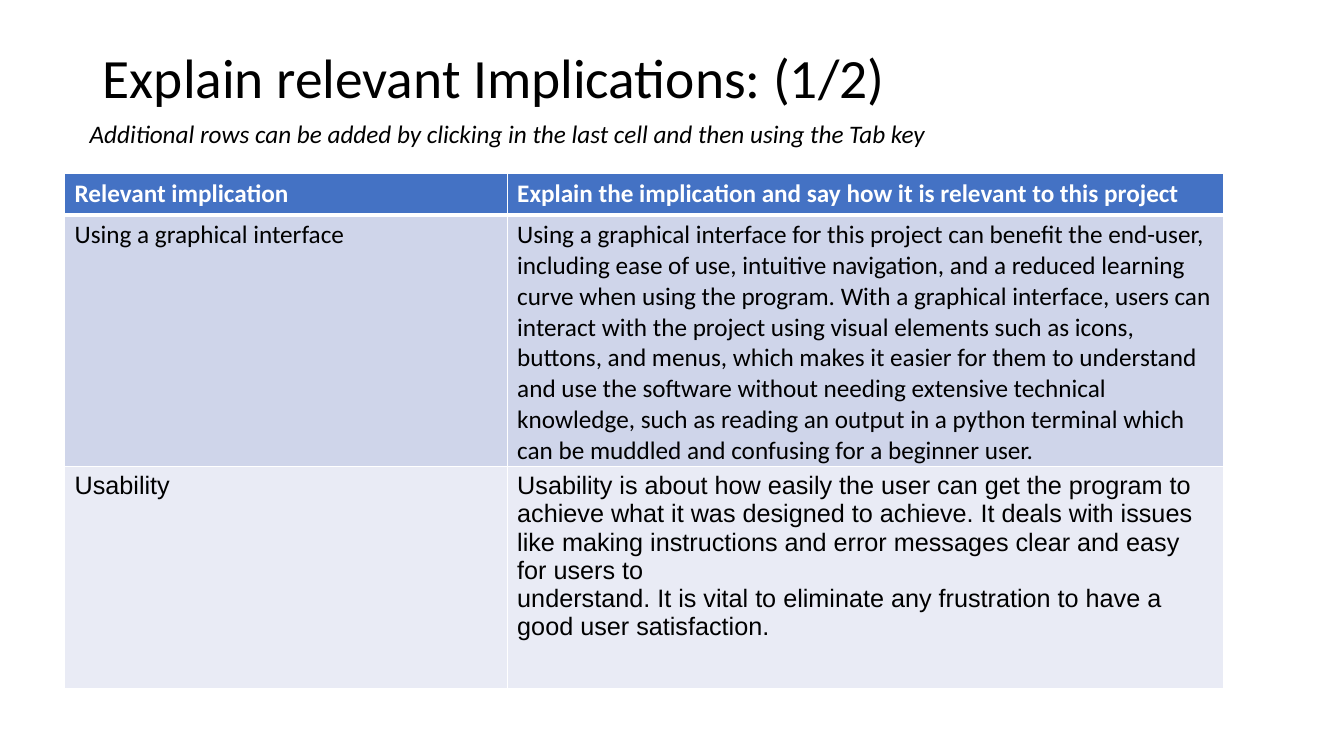
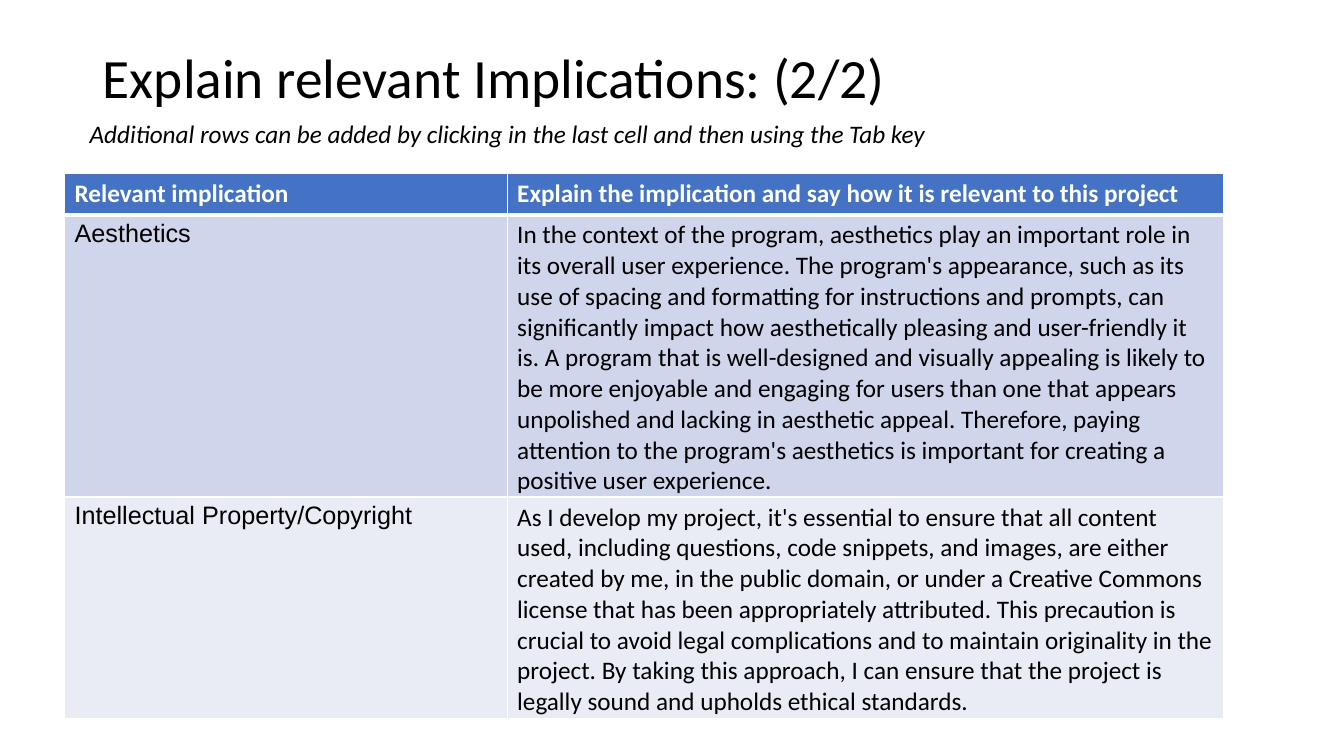
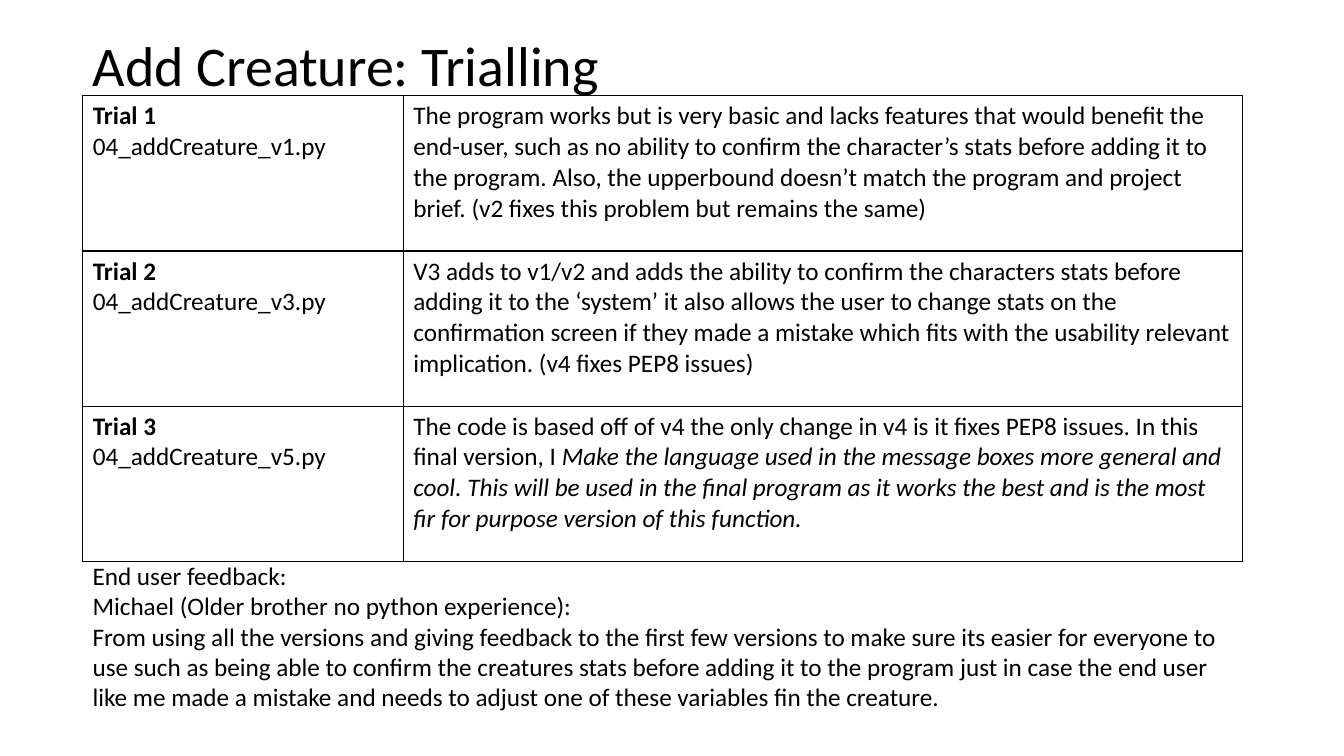
from dataclasses import dataclass
from lxml.etree import SubElement
from pptx import Presentation
from pptx.dml.color import RGBColor
from pptx.enum.text import MSO_ANCHOR, MSO_AUTO_SIZE, PP_ALIGN
from pptx.oxml.ns import qn
from pptx.util import Pt

PX = 9144  # 100 px to the inch


@dataclass(frozen=True)
class Theme:
    ink: str = "000000"
    white: str = "FFFFFF"
    head: str = "4472C4"
    bands: tuple = ("CFD5EA", "E9EBF5")
    font: str = "Calibri"
    alt: str = "Arial"
    title: float = 40
    lead: float = 39.6
    body: float = 18


T = Theme()

# Content: a cell is a list of paragraphs, a paragraph is a list of (text, format) runs
ARIAL = {"font": T.alt}
BOLD = {"bold": True}
ITALIC = {"italic": True}
HINT = "Additional rows can be added by clicking in the last cell and then using the Tab key"
HEADS = ["Relevant implication", "Explain the implication and say how it is relevant to this project"]
TOPICS = [
    {
        "title": "Explain relevant Implications: (1/2)",
        "rows": [41, 249, 220],
        "cells": [
            [
                [[("Using a graphical interface", {})]],
                [[("Using a graphical interface for this project can benefit the end-user, including ease of use, intuitive navigation, and a reduced learning curve when using the program. With a graphical interface, users can interact with the project using visual elements such as icons, buttons, and menus, which makes it easier for them to understand and use the software without needing extensive technical knowledge, such as reading an output in a python terminal which can be muddled and confusing for a beginner user.", {})]],
            ],
            [
                [[("Usability", ARIAL)]],
                [
                    [("Usability is about how easily the user can get the program to achieve what it was designed to achieve. It deals with issues like making instructions and error messages clear and easy for users to", ARIAL)],
                    [("understand. It is vital to eliminate any frustration to have a good user satisfaction.", ARIAL)],
                ],
            ],
        ],
    },
    {
        "title": "Explain relevant Implications: (2/2)",
        "rows": [41, 279, 220],
        "cells": [
            [
                [[("Aesthetics", ARIAL)]],
                [[("In the context of the program, aesthetics play an important role in its overall user experience. The program's appearance, such as its use of spacing and formatting for instructions and prompts, can significantly impact how aesthetically pleasing and user-friendly it is. A program that is well-designed and visually appealing is likely to be more enjoyable and engaging for users than one that appears unpolished and lacking in aesthetic appeal. Therefore, paying attention to the program's aesthetics is important for creating a positive user experience.", {})]],
            ],
            [
                [[("Intellectual Property/Copyright", ARIAL)]],
                [[("As I develop my project, it's essential to ensure that all content used, including questions, code snippets, and images, are either created by me, in the public domain, or under a Creative Commons license that has been appropriately attributed. This precaution is crucial to avoid legal complications and to maintain originality in the project. By taking this approach, I can ensure that the project is legally sound and upholds ethical standards.", {})]],
            ],
        ],
    },
]
TRIALS = [
    ("Trial 1", "04_addCreature_v1.py", [("The program works but is very basic and lacks features that would benefit the end-user, such as no ability to confirm the character’s stats before adding it to the program. Also, the upperbound doesn’t match the program and project brief. (v2 fixes this problem but remains the same)", {})]),
    ("Trial 2", "04_addCreature_v3.py", [("V3 adds to v1/v2 and adds the ability to confirm the characters stats before adding it to the ‘system’ it also allows the user to change stats on the confirmation screen if they made a mistake which fits with the usability relevant implication. (v4 fixes PEP8 issues)", {})]),
    ("Trial 3", "04_addCreature_v5.py", [
        ("The code is based off of v4 the only change in v4 is it fixes PEP8 issues. In this final version, I ", {}),
        ("Make the language used in the message boxes more general and cool. This will be used in the final program as it works the best and is the most fir for purpose version of this function.", ITALIC),
    ]),
]
FEEDBACK = [
    "End user feedback:",
    "Michael (Older brother no python experience):",
    "From using all the versions and giving feedback to the first few versions to make sure its easier for everyone to use such as being able to confirm the creatures stats before adding it to the program just in case the end user like me made a mistake and needs to adjust one of these variables fin the creature.",
]


def plain(*lines):
    return [[(line, {})] for line in lines]


# Text
def write(frame, paras, size=T.body, color=T.ink, space=None, **base):
    frame.word_wrap = True
    for n, runs in enumerate(paras):
        para = frame.paragraphs[0] if n == 0 else frame.add_paragraph()
        para.alignment = PP_ALIGN.LEFT
        if space:
            para.line_spacing = space
        for text, extra in runs:
            look = {"font": T.font, "bold": False, "italic": False, **base, **extra}
            run = para.add_run()
            run.text = text
            run.font.name = look["font"]
            run.font.size = Pt(size)
            run.font.bold = look["bold"]
            run.font.italic = look["italic"]
            run.font.color.rgb = RGBColor.from_string(color)


def place(box):
    return [v * PX for v in box]


def start(deck, title, box, **look):
    slide = deck.slides.add_slide(deck.slide_layouts[5])
    shape = slide.shapes.title
    shape.left, shape.top, shape.width, shape.height = place(box)
    frame = shape.text_frame
    frame.auto_size = MSO_AUTO_SIZE.NONE
    frame.vertical_anchor = MSO_ANCHOR.MIDDLE
    write(frame, plain(title), **look)
    return slide


def note(slide, box, lines, **look):
    frame = slide.shapes.add_textbox(*place(box)).text_frame
    write(frame, plain(*lines), **look)


# Tables
def edge(cell, color, **widths):
    props = cell._tc.get_or_add_tcPr()
    for side in "LRTB":
        line = SubElement(props, qn(f"a:ln{side}"), w=str(Pt(widths.get(side, 1))))
        fill = SubElement(line, qn("a:solidFill"))
        SubElement(fill, qn("a:srgbClr"), val=color)


def grid(slide, left, top, cols, rows):
    box = place((left, top, sum(cols), sum(rows)))
    table = slide.shapes.add_table(len(rows), len(cols), *box).table
    table.first_row = table.horz_banding = False
    for col, width in zip(table.columns, cols):
        col.width = width * PX
    for row, height in zip(table.rows, rows):
        row.height = height * PX
    return table


def paint(cell, color):
    cell.fill.solid()
    cell.fill.fore_color.rgb = RGBColor.from_string(color)


def topic(deck, data):
    slide = start(deck, data["title"], (92, 40, 1150, 61), size=T.lead, space=1.15)
    note(slide, (79, 112, 1094, 40), [HINT], italic=True)
    table = grid(slide, 64, 172, [439, 711], data["rows"])
    for c, text in enumerate(HEADS):
        cell = table.cell(0, c)
        edge(cell, T.white, B=3)
        paint(cell, T.head)
        write(cell.text_frame, plain(text), color=T.white, bold=True)
    for r, row in enumerate(data["cells"], 1):
        for c, paras in enumerate(row):
            cell = table.cell(r, c)
            edge(cell, T.white, T=3 if r == 1 else 1)
            paint(cell, T.bands[r - 1])
            write(cell.text_frame, paras)


def trial(deck):
    slide = start(deck, "Add Creature: Trialling", (82, 24, 1150, 88), size=T.title, space=0.9)
    table = grid(slide, 82, 95, [318, 832], [154] * len(TRIALS))
    for r, (name, code, result) in enumerate(TRIALS):
        for c, paras in enumerate(([[(name, BOLD)], [(code, {})]], [result])):
            cell = table.cell(r, c)
            edge(cell, T.ink)
            cell.fill.background()
            write(cell.text_frame, paras)
    note(slide, (82, 551, 1150, 162), FEEDBACK)


def main():
    deck = Presentation()
    deck.slide_width, deck.slide_height = 1333 * PX, 750 * PX
    for data in TOPICS:
        topic(deck, data)
    trial(deck)
    deck.save("out.pptx")


if __name__ == "__main__":
    main()
